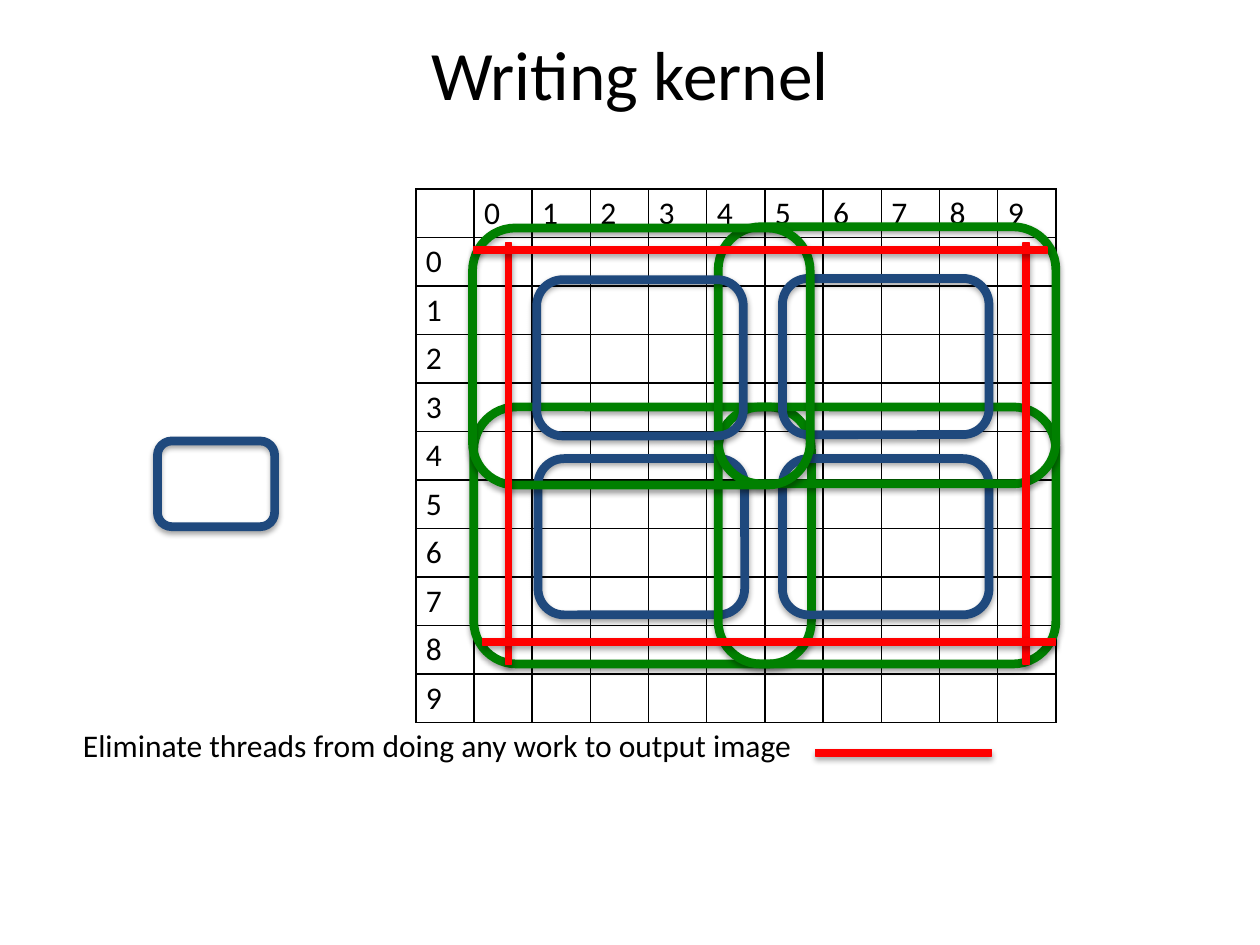
"""Build a slide showing overlapping thread blocks and the idle border threads of a kernel."""
from lxml import etree
from pptx import Presentation
from pptx import util as u
from pptx.dml.color import RGBColor
from pptx.enum import shapes, text
from pptx.oxml import ns

COLOURS = {"text": "000000", "output": "1F497D", "block": "008000", "idle": "FF0000"}
FONT = "Calibri"
CELLS = 11
TABLE_LEFT, TABLE_TOP, TABLE_WIDTH, TABLE_HEIGHT = 3.3, 1.5, 5.08, 3.77
BLOCK_SIZE, OUTPUT_SIZE = (2.68, 2.04), (1.64, 1.24)
HALO = (0.51, 0.41)
THICKNESS = 0.05


def format_paragraph(paragraph, size):
    paragraph.font.name = FONT
    paragraph.font.size = u.Pt(size)
    paragraph.font.color.rgb = RGBColor.from_string(COLOURS["text"])


def add_shadowed(kind, left, top, width, height, colour, filled=False):
    shape = slide.shapes.add_shape(kind, *map(u.Inches, (left, top, width, height)))
    rgb = RGBColor.from_string(COLOURS[colour])
    if filled:
        shape.fill.solid()
        shape.fill.fore_color.rgb = rgb
    else:
        shape.fill.background()
    shape.line.color.rgb = rgb
    shape.line.width = u.Pt(0.75 if filled else 5)
    shape.shadow.inherit = False
    effects = shape._element.spPr.find(ns.qn("a:effectLst"))
    shadow = etree.SubElement(effects, ns.qn("a:outerShdw"), blurRad="40000",
                              dist="23000", dir="5400000", rotWithShape="0")
    shade = etree.SubElement(shadow, ns.qn("a:srgbClr"), val=COLOURS["text"])
    etree.SubElement(shade, ns.qn("a:alpha"), val="35000")


presentation = Presentation()
presentation.slide_width, presentation.slide_height = u.Inches(10), u.Inches(7.5)
slide = presentation.slides.add_slide(presentation.slide_layouts[5])

title = slide.shapes.title
title.left, title.top, title.width, title.height = map(u.Inches, (0.5, 0.3, 9, 0.56))
title.text_frame.text = "Writing kernel"
title.text_frame.vertical_anchor = text.MSO_ANCHOR.MIDDLE
title.text_frame.paragraphs[0].alignment = text.PP_ALIGN.CENTER
format_paragraph(title.text_frame.paragraphs[0], 39.6)

frame = slide.shapes.add_table(
    CELLS, CELLS, *map(u.Inches, (TABLE_LEFT, TABLE_TOP, TABLE_WIDTH, TABLE_HEIGHT)))
table = frame.table
table.first_row = table.horz_banding = False
for index in range(CELLS):
    table.columns[index].width = u.Inches(TABLE_WIDTH / CELLS)
    table.rows[index].height = u.Inches(TABLE_HEIGHT / CELLS)
for row in range(CELLS):
    for column in range(CELLS):
        cell = table.cell(row, column)
        cell.margin_left = cell.margin_right = u.Inches(0.08)
        cell.margin_top = cell.margin_bottom = u.Inches(0.04)
        paragraph = cell.text_frame.paragraphs[0]
        if (row == 0) != (column == 0):
            cell.text = str(row + column - 1)
            format_paragraph(paragraph, 16)
        else:
            paragraph._p.get_or_add_endParaRPr().set("sz", "1600")
        properties = cell._tc.get_or_add_tcPr()
        for side in ("lnL", "lnR", "lnT", "lnB"):
            border = etree.SubElement(properties, ns.qn(f"a:{side}"), w=str(u.Pt(1)))
            paint = etree.SubElement(border, ns.qn("a:solidFill"))
            etree.SubElement(paint, ns.qn("a:srgbClr"), val=COLOURS["text"])
        cell.fill.background()

caption = slide.shapes.add_textbox(*map(u.Inches, (0.56, 5.71, 5.88, 0.4)))
caption.text_frame.word_wrap = True
caption.text_frame.text = "Eliminate threads from doing any work to output image"
format_paragraph(caption.text_frame.paragraphs[0], 18)

rounded, bar = shapes.MSO_SHAPE.ROUNDED_RECTANGLE, shapes.MSO_SHAPE.RECTANGLE
add_shadowed(rounded, 1.25, 3.5, 0.93, 0.68, "output")
for left, top in ((3.76, 3.23), (5.7, 3.23), (5.7, 1.8), (3.75, 1.81)):
    add_shadowed(rounded, left + HALO[0], top + HALO[1], *OUTPUT_SIZE, "output")
    add_shadowed(rounded, left, top, *BLOCK_SIZE, "block")

for left in (4.01, 8.12):
    add_shadowed(bar, left, 1.93, THICKNESS, 3.34, "idle", filled=True)
for left, top, width in ((3.83, 5.07, 4.55), (3.76, 1.96, 4.55), (6.47, 5.95, 1.4)):
    add_shadowed(bar, left, top, width, THICKNESS, "idle", filled=True)

presentation.save("out.pptx")
